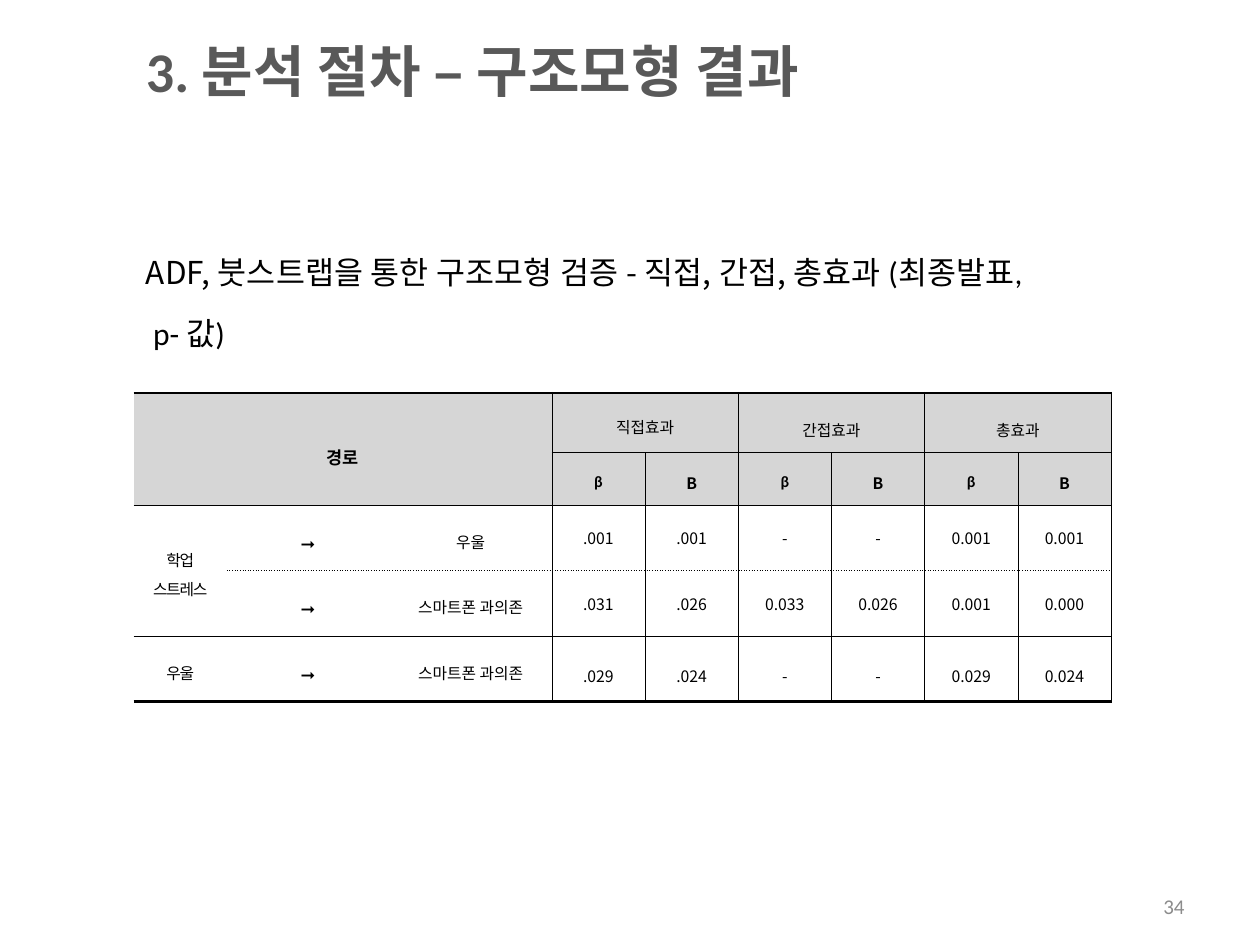
from lxml.etree import SubElement
from pptx import Presentation
from pptx.dml.color import RGBColor
from pptx.enum.text import MSO_ANCHOR, PP_ALIGN
from pptx.oxml.ns import qn
from pptx.util import Inches, Pt

BLACK = RGBColor(0x00, 0x00, 0x00)
TITLE_GREY = RGBColor(0x59, 0x59, 0x59)
NUMBER_GREY = RGBColor(0x8C, 0x8C, 0x8C)
HEADER_GREY = RGBColor(0xD6, 0xD6, 0xD6)
LATIN = "Calibri"
KOREAN = "Noto Sans CJK KR"
NO_STYLE = "{2D5ABB26-0587-4C30-8999-92F81FD0307C}"
THIN, THICK, DOTTED = (0.28, "solid"), (1.7, "solid"), (0.28, "sysDot")

COLUMN_WIDTHS = [0.74, 1.29, 1.29] + [0.74] * 6
ROW_HEIGHTS = [0.47, 0.42, 0.52, 0.52, 0.52]
EFFECTS = ["직접효과", "간접효과", "총효과"]
PATHS = [
    ("학업\n스트레스", "우울", [".001", ".001", "-", "-", "0.001", "0.001"]),
    ("", "스마트폰 과의존", [".031", ".026", "0.033", "0.026", "0.001", "0.000"]),
    ("우울", "스마트폰 과의존", [".029", ".024", "-", "-", "0.029", "0.024"]),
]


def style_font(font, size, name, color=BLACK, bold=False):
    """Set the size, typeface, colour and weight of a font."""
    font.size, font.name, font.bold = Pt(size), name, bold
    font.color.rgb = color


def add_text(slide, box, text, size, color, bold=False, align=PP_ALIGN.LEFT):
    """Place one vertically centred line of text in the box."""
    frame = slide.shapes.add_textbox(*map(Inches, box)).text_frame
    frame.word_wrap = True
    frame.vertical_anchor = MSO_ANCHOR.MIDDLE
    paragraph = frame.paragraphs[0]
    paragraph.text, paragraph.alignment = text, align
    style_font(paragraph.font, size, LATIN, color, bold)


def add_description(slide, box):
    """Place the justified description at the foot of the box."""
    frame = slide.shapes.add_textbox(*map(Inches, box)).text_frame
    frame.word_wrap = True
    frame.vertical_anchor = MSO_ANCHOR.BOTTOM
    paragraph = frame.paragraphs[0]
    paragraph.alignment, paragraph.line_spacing = PP_ALIGN.JUSTIFY, 1.6
    pieces = ["ADF, ", "붓스트랩을 통한 구조모형 검증 ", "- ", "직접", ", ", "간접", ", ",
              "총효과 (최종발표, p- 값)"]
    for index, piece in enumerate(pieces):
        run = paragraph.add_run()
        run.text = piece
        style_font(run.font, 18, LATIN if index % 2 else KOREAN)


def fill_cell(cell, text, size=9, name=LATIN, bold=False, spacing=1.0, tracking=0):
    """Write centred paragraphs into a table cell."""
    cell.text = text
    for paragraph in cell.text_frame.paragraphs:
        paragraph.alignment, paragraph.line_spacing = PP_ALIGN.CENTER, spacing
        style_font(paragraph.font, size, name, BLACK, bold)
        for run in paragraph.runs:
            style_font(run.font, size, name, BLACK, bold)
            run._r.get_or_add_rPr().set("spc", str(tracking))


def horizontal_rule(edge, column):
    """Return the line style of a horizontal grid edge."""
    if edge in (0, len(ROW_HEIGHTS)):
        return THICK
    if edge == 1:
        return THIN if column >= 3 else None
    if edge == 3:
        return DOTTED if column >= 1 else None
    return THIN


def vertical_rule(edge, row):
    """Return the line style of a vertical grid edge."""
    inside_pair = row == 0 and edge in (4, 6, 8)
    return None if edge < 3 or inside_pair else THIN


def draw_borders(cell, row, column):
    """Draw the four borders of a cell by the grid rules."""
    properties = cell._tc.get_or_add_tcPr()
    borders = {
        "a:lnL": vertical_rule(column, row),
        "a:lnR": vertical_rule(column + cell.span_width, row),
        "a:lnT": horizontal_rule(row, column),
        "a:lnB": horizontal_rule(row + cell.span_height, column),
    }
    for tag, style in borders.items():
        line = SubElement(properties, qn(tag))
        if style is None:
            SubElement(line, qn("a:noFill"))
            continue
        width, dash = style
        line.set("w", str(int(Pt(width))))
        fill = SubElement(line, qn("a:solidFill"))
        SubElement(fill, qn("a:srgbClr")).set("val", str(BLACK))
        SubElement(line, qn("a:prstDash")).set("val", dash)


def write_header(table):
    """Write the two header rows."""
    fill_cell(table.cell(0, 0), "경로", 10, bold=True, spacing=1.6)
    for index, effect in enumerate(EFFECTS):
        column = 3 + 2 * index
        fill_cell(table.cell(0, column), effect, spacing=1.6 if index else 1.33)
        fill_cell(table.cell(1, column), "β", bold=True, spacing=1.33)
        fill_cell(table.cell(1, column + 1), "B", name=KOREAN, bold=True, spacing=1.33)


def write_paths(table):
    """Write one row for each path and its effects."""
    for row, (source, target, values) in enumerate(PATHS, 2):
        if source:
            fill_cell(table.cell(row, 0), source, spacing=1.3, tracking=-70)
        fill_cell(table.cell(row, 1), "➞", 10, spacing=1.6, tracking=-70)
        fill_cell(table.cell(row, 2), target, spacing=1.3)
        for column, value in enumerate(values, 3):
            fill_cell(table.cell(row, column), value, name=KOREAN,
                      spacing=1.6 if row == 4 else 1.0)


def add_effects_table(slide, box):
    """Place the table of direct, indirect and total effects."""
    table = slide.shapes.add_table(
        len(ROW_HEIGHTS), len(COLUMN_WIDTHS), *map(Inches, box)).table
    table._tbl.tblPr.find(qn("a:tableStyleId")).text = NO_STYLE
    table.first_row = table.horz_banding = False
    for column, width in zip(table.columns, COLUMN_WIDTHS):
        column.width = Inches(width)
    for row, height in zip(table.rows, ROW_HEIGHTS):
        row.height = Inches(height)
    table.cell(0, 0).merge(table.cell(1, 2))
    table.cell(2, 0).merge(table.cell(3, 0))
    for column in (3, 5, 7):
        table.cell(0, column).merge(table.cell(0, column + 1))
    for row in range(len(ROW_HEIGHTS)):
        for column in range(len(COLUMN_WIDTHS)):
            cell = table.cell(row, column)
            cell.vertical_anchor = MSO_ANCHOR.MIDDLE
            cell.margin_left = cell.margin_right = Inches(0.02)
            cell.margin_top = cell.margin_bottom = Inches(0.02)
            draw_borders(cell, row, column)
            if row < 2:
                cell.fill.solid()
                cell.fill.fore_color.rgb = HEADER_GREY
            else:
                cell.fill.background()
            for paragraph in cell.text_frame.paragraphs:
                paragraph.font.size = Pt(9)
    write_header(table)
    write_paths(table)


def main():
    """Build the slide and save it."""
    presentation = Presentation()
    presentation.slide_width, presentation.slide_height = Inches(10), Inches(7.5)
    slide = presentation.slides.add_slide(presentation.slide_layouts[6])
    add_text(slide, (1.06, 0.12, 7.75, 0.87), "3. 분석 절차 – 구조모형 결과", 32,
             TITLE_GREY, bold=True)
    add_description(slide, (1.06, 1.45, 7.09, 1.39))
    add_text(slide, (7.17, 7.03, 2.33, 0.32), "34", 12, NUMBER_GREY,
             align=PP_ALIGN.RIGHT)
    add_effects_table(slide, (1.06, 3.12, sum(COLUMN_WIDTHS), sum(ROW_HEIGHTS)))
    presentation.save("out.pptx")


if __name__ == "__main__":
    main()
